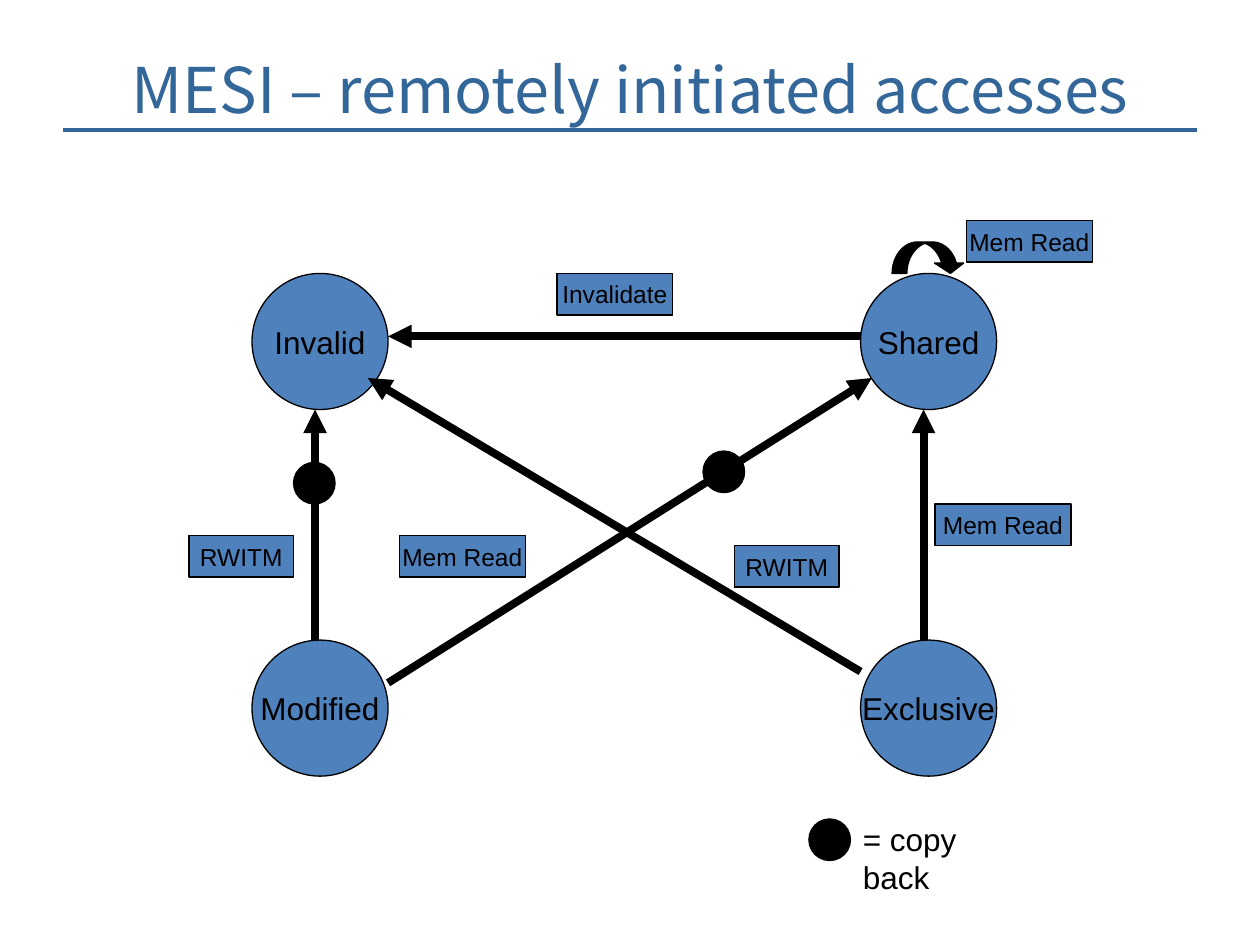
from lxml import etree
from pptx import Presentation
from pptx.dml.color import RGBColor
from pptx.enum.shapes import MSO_CONNECTOR, MSO_SHAPE
from pptx.enum.text import MSO_ANCHOR, MSO_AUTO_SIZE, PP_ALIGN
from pptx.oxml.ns import qn
from pptx.util import Inches, Pt

STRAIGHT = MSO_CONNECTOR.STRAIGHT
OVAL, RECTANGLE = MSO_SHAPE.OVAL, MSO_SHAPE.RECTANGLE
LOOP_ARROW = MSO_SHAPE.CURVED_DOWN_ARROW
MIDDLE, TOP = MSO_ANCHOR.MIDDLE, MSO_ANCHOR.TOP
CENTER, LEFT = PP_ALIGN.CENTER, PP_ALIGN.LEFT
NO_AUTOFIT = MSO_AUTO_SIZE.NONE

BLACK, STATE_BLUE, TITLE_BLUE = "000000", "4F81BD", "336699"
STATE_SIZE, LABEL_HEIGHT, DOT_SIZE = 1.08, 0.33, 0.33
LEFT_COLUMN, RIGHT_COLUMN = 0.5, 5.33
TOP_ROW, BOTTOM_ROW = 0.42, 3.33

STATES = [
    ("Invalid", LEFT_COLUMN, TOP_ROW),
    ("Modified", LEFT_COLUMN, BOTTOM_ROW),
    ("Exclusive", RIGHT_COLUMN, BOTTOM_ROW),
    ("Shared", RIGHT_COLUMN, TOP_ROW),
]
TRANSITIONS = [
    ((1, 3.33), (1, 1.5)),
    ((5.33, 0.92), (1.58, 0.92)),
    ((5.83, 3.33), (5.83, 1.5)),
    ((1.58, 3.67), (5.42, 1.25)),
    ((5.33, 3.58), (1.42, 1.25)),
]
LABELS = [
    ("Mem Read", 6.17, 0, 1),
    ("Mem Read", 5.92, 2.25, 1.08),
    ("Mem Read", 1.67, 2.5, 1),
    ("Invalidate", 2.92, 0.42, 0.92),
    ("RWITM", 4.33, 2.58, 0.83),
    ("RWITM", 0, 2.5, 0.83),
]
COPY_BACK_DOTS = [(0.83, 1.92), (4.08, 1.83)]


def color(value):
    return RGBColor.from_string(value)


def apply_format(target, values):
    for name, value in values.items():
        setattr(target, name, value)


def write_text(shape, text, size, font="Arial", tone=BLACK, align=CENTER,
               anchor=MIDDLE, wrap=False):
    frame = shape.text_frame
    apply_format(frame, {"word_wrap": wrap, "vertical_anchor": anchor,
                         "auto_size": NO_AUTOFIT})
    para = frame.paragraphs[0]
    para.alignment = align
    span = para.add_run()
    span.text = text
    apply_format(span.font, {"name": font, "size": Pt(size), "bold": False})
    span.font.color.rgb = color(tone)


def add_filled(page, kind, left, top, width, height, fill):
    shape = page.shapes.add_shape(kind, Inches(left), Inches(top),
                                  Inches(width), Inches(height))
    shape.shadow.inherit = False
    shape.fill.solid()
    shape.fill.fore_color.rgb = color(fill)
    shape.line.color.rgb = color(BLACK)
    shape.line.width = Pt(0.75)
    return shape


def add_dot(page, left, top):
    add_filled(page, OVAL, left, top, DOT_SIZE, DOT_SIZE, BLACK)


def add_line(page, start, end, tone, width, arrow=False):
    points = [Inches(value) for value in (*start, *end)]
    line = page.shapes.add_connector(STRAIGHT, *points)
    line.line.color.rgb = color(tone)
    line.line.width = Pt(width)
    if arrow:
        outline = line.line._get_or_add_ln()
        etree.SubElement(outline, qn("a:tailEnd"), type="triangle")
    etree.SubElement(line._element.spPr, qn("a:effectLst"))


def add_heading(page, left, top, width, height):
    rule_top, margin = top + 0.61, 0.5
    add_line(page, (left + margin, rule_top),
             (left + width - margin, rule_top), TITLE_BLUE, 2)
    title = page.shapes.title
    apply_format(title, {"left": Inches(left), "top": Inches(top),
                         "width": Inches(width), "height": Inches(height)})
    write_text(title, "MESI – remotely initiated accesses", 36,
               font="Noto Sans CJK SC", tone=TITLE_BLUE, wrap=True)


def add_state_diagram(page, left, top):
    for name, x, y in STATES:
        state = add_filled(page, OVAL, left + x, top + y,
                           STATE_SIZE, STATE_SIZE, STATE_BLUE)
        write_text(state, name, 18)
    for start, end in TRANSITIONS:
        add_line(page, (left + start[0], top + start[1]),
                 (left + end[0], top + end[1]), BLACK, 4.5, arrow=True)
    loop = add_filled(page, LOOP_ARROW, left + 5.58, top + 0.17,
                      0.58, 0.25, BLACK)
    for index, value in enumerate((0.47, 0.93, 0.33)):
        loop.adjustments[index] = value
    for text, x, y, width in LABELS:
        label = add_filled(page, RECTANGLE, left + x, top + y,
                           width, LABEL_HEIGHT, STATE_BLUE)
        write_text(label, text, 14)
    for x, y in COPY_BACK_DOTS:
        add_dot(page, left + x, top + y)


def add_legend(page, left, top, width, height):
    add_dot(page, left, top + 0.04)
    box = page.shapes.add_textbox(Inches(left + DOT_SIZE), Inches(top),
                                  Inches(width - DOT_SIZE), Inches(height))
    write_text(box, "= copy back", 18, align=LEFT, anchor=TOP, wrap=True)


def main():
    deck = Presentation()
    apply_format(deck, {"slide_width": Inches(10),
                        "slide_height": Inches(7.5)})
    page = deck.slides.add_slide(deck.slide_layouts[5])
    add_heading(page, 0, 0.42, 10, 0.56)
    add_state_diagram(page, 1.5, 1.75)
    add_legend(page, 6.42, 6.46, 1.76, 0.4)
    deck.save("out.pptx")


if __name__ == "__main__":
    main()
